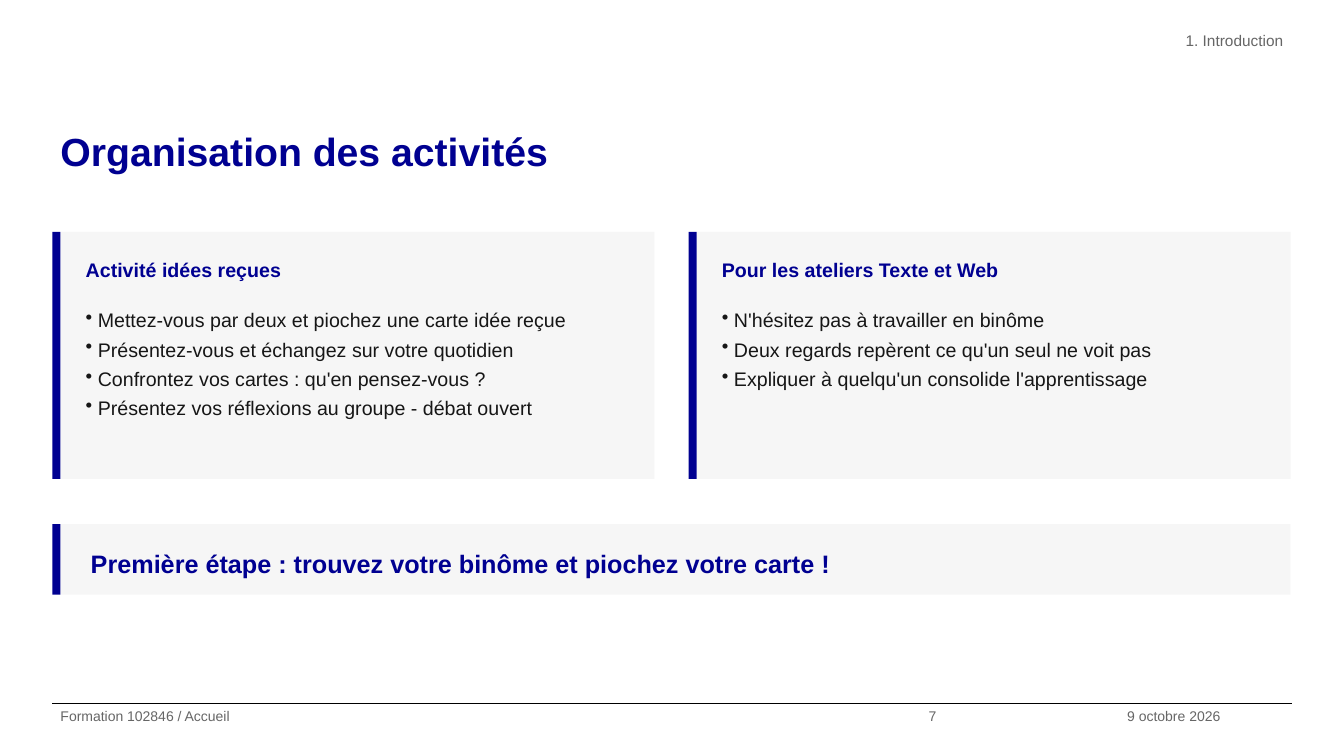
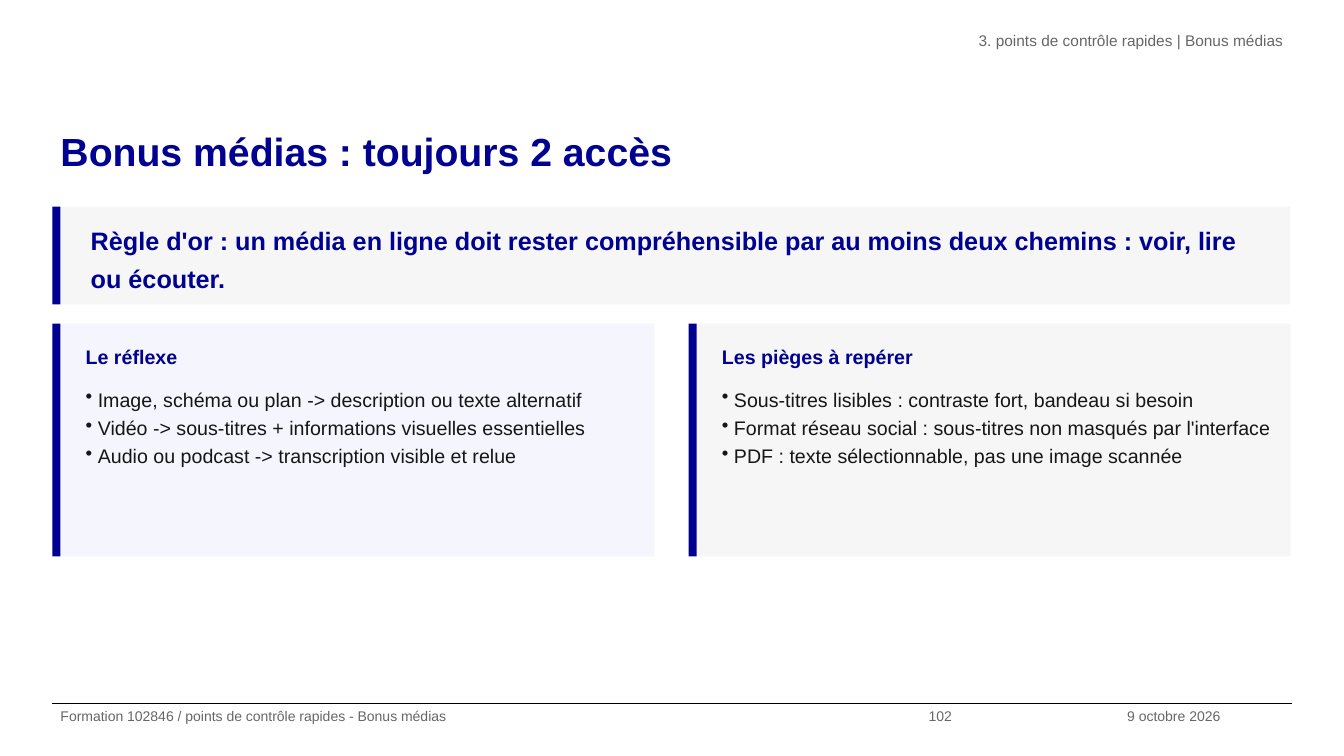
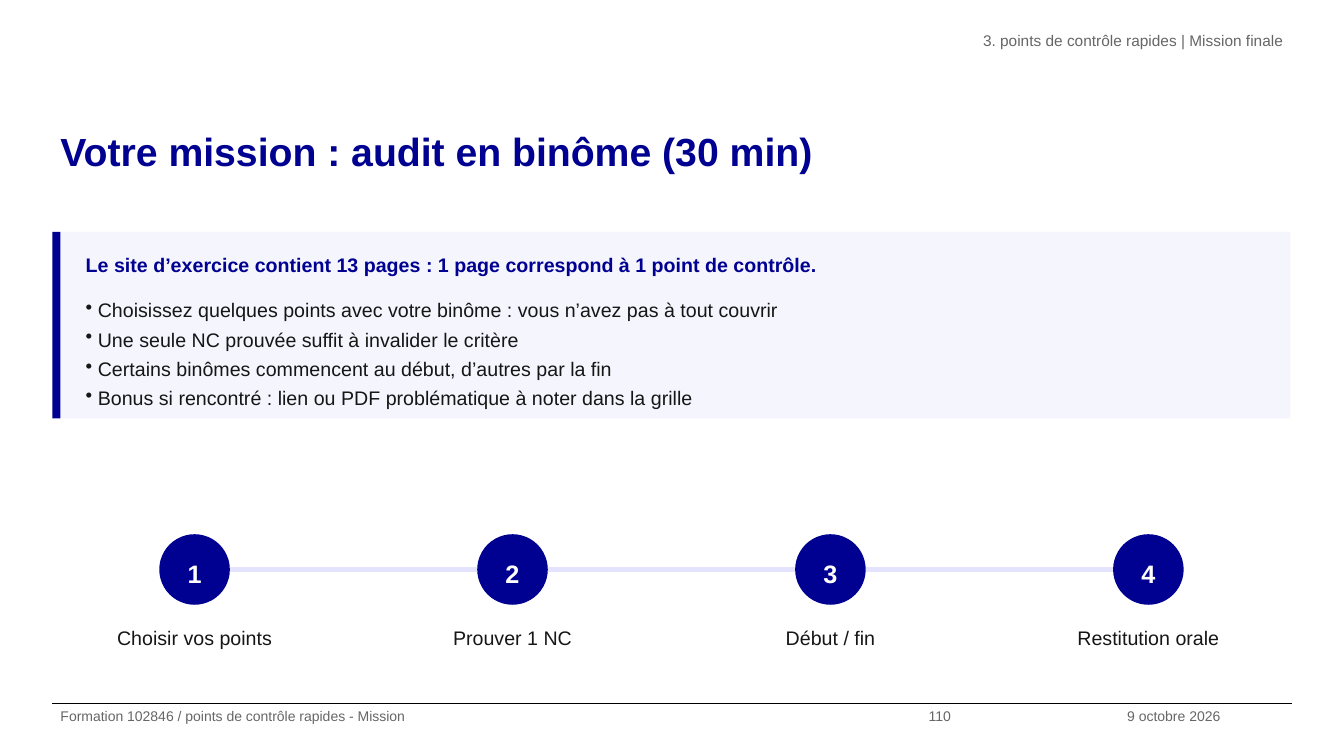
from lxml import etree
from pptx import Presentation
from pptx.dml.color import RGBColor
from pptx.enum.shapes import MSO_CONNECTOR, MSO_SHAPE
from pptx.enum.text import MSO_ANCHOR, MSO_AUTO_SIZE, PP_ALIGN
from pptx.oxml.ns import qn
from pptx.util import Inches, Pt

RECT, OVAL = MSO_SHAPE.RECTANGLE, MSO_SHAPE.OVAL
LINE = MSO_CONNECTOR.STRAIGHT
LEFT, MID, RIGHT = PP_ALIGN.LEFT, PP_ALIGN.CENTER, PP_ALIGN.RIGHT
TOP, CENTRE = MSO_ANCHOR.TOP, MSO_ANCHOR.MIDDLE
FIXED, GROW = MSO_AUTO_SIZE.NONE, MSO_AUTO_SIZE.SHAPE_TO_FIT_TEXT

tint = RGBColor.from_string
BLUE, BLACK, WHITE = "000091", "000000", "FFFFFF"
GREY, PALE, LINK = "F6F6F6", "F5F5FE", "E3E3FD"
INK, SOFT = "161616", "666666"

# size, bold, colour, alignment, anchor, vertical inset, fit
STYLES = {
    "title": (28, True, BLUE, LEFT, TOP, 0, FIXED),
    "header": (11, False, SOFT, RIGHT, TOP, 0, FIXED),
    "footer": (10, False, SOFT, LEFT, TOP, 0, FIXED),
    "head": (14, True, BLUE, LEFT, TOP, 0.05, GROW),
    "list": (14, False, INK, LEFT, TOP, 0.05, GROW),
    "label": (14, False, INK, MID, TOP, 0.05, GROW),
    "call": (18, True, BLUE, LEFT, CENTRE, 0.05, GROW),
    "step": (18, True, WHITE, MID, CENTRE, 0.05, FIXED),
}

EDGE, FULL, HALF = 0.52, 12.28, 5.97
STRIPE = 0.08
SECOND = EDGE + FULL - HALF
FOOT = 6.98

# Panel: left, top, width, height, fill, head offset, list offset, spacing, head, items
# Call: top, height, text
SLIDES = [
    {
        "title": "Organisation des activités",
        "header": "1. Introduction",
        "footer": "Accueil",
        "page": "7",
        "panels": [
            (EDGE, 2.3, HALF, 2.45, GREY, 0.15, 0.65, 1.25,
             "Activité idées reçues",
             ["Mettez-vous par deux et piochez une carte idée reçue",
              "Présentez-vous et échangez sur votre quotidien",
              "Confrontez vos cartes : qu'en pensez-vous ?",
              "Présentez vos réflexions au groupe - débat ouvert"]),
            (SECOND, 2.3, HALF, 2.45, GREY, 0.15, 0.65, 1.25,
             "Pour les ateliers Texte et Web",
             ["N'hésitez pas à travailler en binôme",
              "Deux regards repèrent ce qu'un seul ne voit pas",
              "Expliquer à quelqu'un consolide l'apprentissage"]),
        ],
        "calls": [(5.2, 0.7, "Première étape : trouvez votre binôme "
                             "et piochez votre carte !")],
        "steps": [],
    },
    {
        "title": "Bonus médias : toujours 2 accès",
        "header": "3. points de contrôle rapides | Bonus médias",
        "footer": "points de contrôle rapides - Bonus médias",
        "page": "102",
        "panels": [
            (EDGE, 3.21, HALF, 2.31, PALE, 0.1, 0.54, 1.2,
             "Le réflexe",
             ["Image, schéma ou plan -> description ou texte alternatif",
              "Vidéo -> sous-titres + informations visuelles essentielles",
              "Audio ou podcast -> transcription visible et relue"]),
            (SECOND, 3.21, HALF, 2.31, GREY, 0.1, 0.54, 1.2,
             "Les pièges à repérer",
             ["Sous-titres lisibles : contraste fort, bandeau si besoin",
              "Format réseau social : sous-titres non masqués par l'interface",
              "PDF : texte sélectionnable, pas une image scannée"]),
        ],
        "calls": [(2.05, 0.97, "Règle d'or : un média en ligne doit rester "
                               "compréhensible par au moins deux chemins : "
                               "voir, lire ou écouter.")],
        "steps": [],
    },
    {
        "title": "Votre mission : audit en binôme (30 min)",
        "header": "3. points de contrôle rapides | Mission finale",
        "footer": "points de contrôle rapides - Mission",
        "page": "110",
        "panels": [
            (EDGE, 2.3, FULL, 1.85, PALE, 0.1, 0.55, 1.25,
             "Le site d’exercice contient 13 pages : "
             "1 page correspond à 1 point de contrôle.",
             ["Choisissez quelques points avec votre binôme : "
              "vous n’avez pas à tout couvrir",
              "Une seule NC prouvée suffit à invalider le critère",
              "Certains binômes commencent au début, d’autres par la fin",
              "Bonus si rencontré : lien ou PDF problématique "
              "à noter dans la grille"]),
        ],
        "calls": [],
        "steps": ["Choisir vos points", "Prouver 1 NC", "Début / fin",
                  "Restitution orale"],
    },
]


def write(style, lines, at, shape=None, space=1.25):
    """Set styled lines in the given shape, or in a new text box."""
    size, bold, colour, align, anchor, inset, fit = STYLES[style]
    shape = shape or shapes.add_textbox(0, 0, 0, 0)
    for side, value in zip(("left", "top", "width", "height"), at):
        setattr(shape, side, Inches(value))
    frame = shape.text_frame
    form = {
        "word_wrap": True, "auto_size": fit, "vertical_anchor": anchor,
        "margin_left": Inches(0.08), "margin_right": Inches(0.08),
        "margin_top": Inches(inset), "margin_bottom": Inches(inset),
    }
    for key, value in form.items():
        setattr(frame, key, value)
    for i, line in enumerate(lines):
        para = frame.add_paragraph() if i else frame.paragraphs[0]
        if style == "list":
            props = para._p.get_or_add_pPr()
            props.set("marL", str(Inches(0.12)))
            props.set("indent", str(-Inches(0.12)))
            etree.SubElement(props, qn("a:buChar")).set("char", "•")
        para.alignment, para.line_spacing = align, space
        run = para.add_run()
        run.text = line
        for key, value in {"name": "Arial", "size": Pt(size), "bold": bold}.items():
            setattr(run.font, key, value)
        run.font.color.rgb = tint(colour)


def block(kind, at, fill):
    """Add a flat shape without outline."""
    shape = shapes.add_shape(kind, *map(Inches, at))
    shape.shadow.inherit = False
    shape.fill.solid()
    shape.fill.fore_color.rgb = tint(fill)
    shape.line.fill.background()
    return shape


deck = Presentation()
deck.slide_width, deck.slide_height = Inches(13.33), Inches(7.5)

for page in SLIDES:
    shapes = deck.slides.add_slide(deck.slide_layouts[5]).shapes
    write("title", [page["title"]], (EDGE, 1.15, FULL, 1.05), shapes.title)
    write("header", [page["header"]], (4.83, 0.26, 7.98, 0.52))

    for left, top, width, height, fill, *texts in page["panels"]:
        head_gap, list_gap, space, head, items = texts
        block(RECT, (left + STRIPE, top, width - STRIPE, height), fill)
        block(RECT, (left, top, STRIPE, height), BLUE)
        start, wide = left + 0.25, width - 0.33
        write("head", [head], (start, top + head_gap, wide, 0.35))
        write("list", items,
              (start, top + list_gap, wide, height - list_gap - 0.1), space=space)

    for top, height, text in page["calls"]:
        block(RECT, (EDGE + STRIPE, top, FULL - STRIPE, height), GREY)
        block(RECT, (EDGE, top, STRIPE, height), BLUE)
        write("call", [text], (EDGE + 0.3, top + 0.1, 11.88, height - 0.2))

    # Equal columns between the slide margins, one circle in each
    cell, disc = 2.82, 0.7
    pitch = (FULL - cell) / 3
    links = []
    for i, text in enumerate(page["steps"]):
        left = EDGE + i * pitch
        at = (left + (cell - disc) / 2, 5.3, disc, disc)
        write("step", [str(i + 1)], at, block(OVAL, at, BLUE))
        write("label", [text], (left, 6.1, cell, 0.2))
        if i:
            links.append((at[0] + disc - pitch, at[0], 5.65, LINK, 3))

    rule = (EDGE, 12.81, FOOT, BLACK, 0.8)
    for start, end, level, colour, weight in [*links, rule]:
        line = shapes.add_connector(LINE, *map(Inches, (start, level, end, level)))
        line.line.color.rgb, line.line.width = tint(colour), Pt(weight)
        etree.SubElement(line._element.spPr, qn("a:effectLst"))

    for text, left, width in [
        ("Formation 102846 / " + page["footer"], EDGE, 8.61),
        (page["page"], 9.13, 1.97),
        ("9 octobre 2026", 11.1, 1.71),
    ]:
        write("footer", [text], (left, FOOT, width, 0.52))

deck.save("out.pptx")
